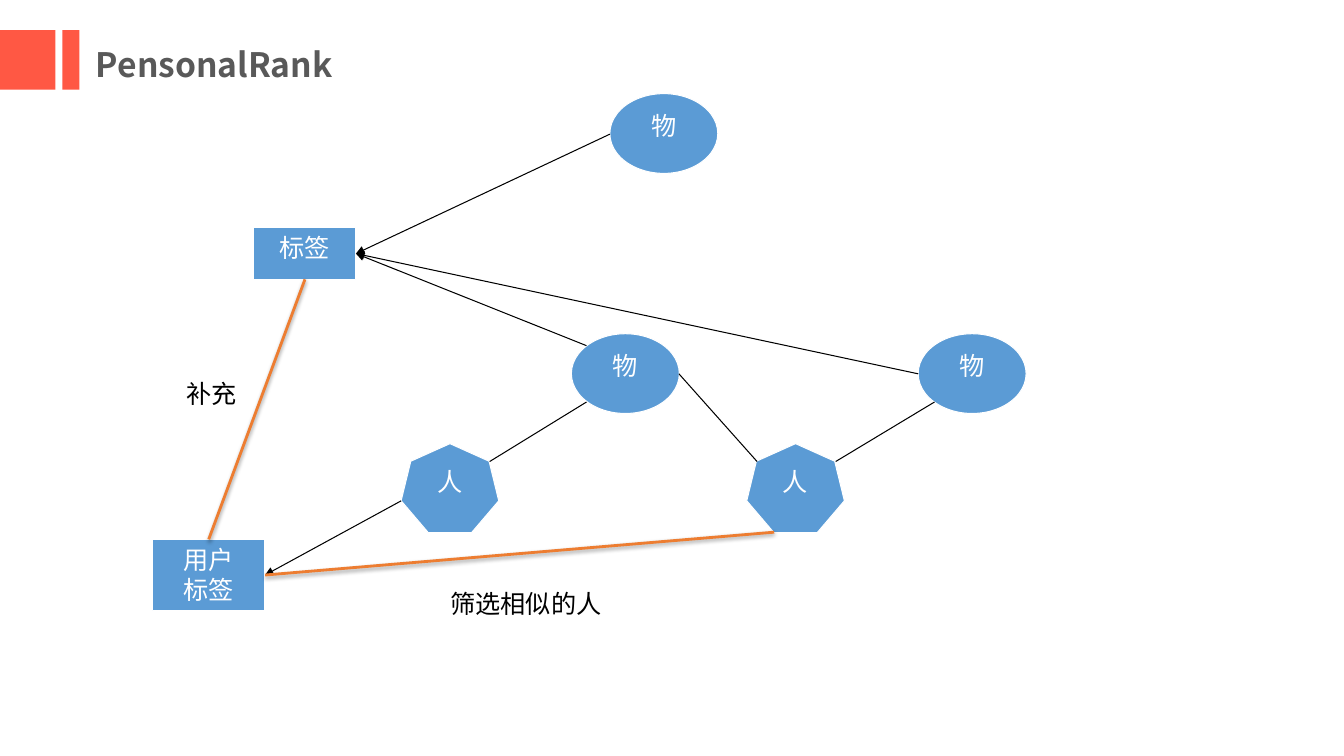
from dataclasses import dataclass

from lxml.etree import SubElement
from pptx import Presentation
from pptx.dml.color import RGBColor
from pptx.enum.shapes import MSO_CONNECTOR as Connector, MSO_SHAPE as Preset
from pptx.enum.text import MSO_ANCHOR as Anchor, PP_ALIGN as Align
from pptx.oxml.ns import qn
from pptx.shapes.autoshape import Shape
from pptx.slide import Slide
from pptx.util import Cm, Pt

COLORS = {
    "accent": "FF5844",
    "node": "5B9BD5",
    "outline": "FFFFFF",
    "node_text": "FFFFFF",
    "title": "595959",
    "ink": "000000",
    "highlight": "ED7D31",
}
LATIN_FONT = "Calibri"
CJK_FONT = "Noto Sans CJK SC"
TOP, BOTTOM, RIGHT = 0, 2, 3
BAR_TOP, BAR_HEIGHT = 0.76, 1.5


@dataclass(frozen=True)
class Node:
    preset: Preset
    left: float
    top: float
    width: float
    height: float
    lines: tuple[str, ...]


@dataclass(frozen=True)
class Joint:
    """The middle of one side of a named node."""
    node: str
    side: int


@dataclass(frozen=True)
class Edge:
    start: tuple[float, float] | Joint
    end: tuple[float, float] | Joint
    arrow: bool = False
    highlight: bool = False


@dataclass(frozen=True)
class Label:
    left: float
    top: float
    width: float
    height: float
    text: str
    color: str = "ink"
    size: int = 18
    font: str = LATIN_FONT
    bold: bool = False
    inset: float = 0.25


def person(left: float) -> Node:
    return Node(Preset.HEPTAGON, left, 11.18, 2.46, 2.24, ("人",))


def item(left: float, top: float) -> Node:
    return Node(Preset.OVAL, left, top, 2.72, 2.01, ("物",))


NODES = {
    "left person": person(10.11),
    "right person": person(18.82),
    "middle item": item(14.4, 8.41),
    "right item": item(23.14, 8.41),
    "top item": item(15.37, 2.36),
    "tag": Node(Preset.RECTANGLE, 6.4, 5.74, 2.57, 1.3, ("标签",)),
    "user tag": Node(Preset.RECTANGLE, 3.84, 13.59, 2.84, 1.8, ("用户", "标签")),
}
TAG_RIGHT = Joint("tag", RIGHT)
USER_RIGHT = Joint("user tag", RIGHT)
EDGES = [
    Edge((14.78, 10.13), (12.34, 11.63)),
    Edge((17.11, 9.42), (19.08, 11.63)),
    Edge((21.06, 11.63), (23.55, 10.13)),
    Edge((10.11, 12.62), USER_RIGHT, arrow=True),
    Edge((14.78, 8.71), TAG_RIGHT, arrow=True),
    Edge((23.14, 9.42), TAG_RIGHT, arrow=True),
    Edge((15.37, 3.38), TAG_RIGHT, arrow=True),
    Edge(Joint("user tag", TOP), Joint("tag", BOTTOM), highlight=True),
    Edge(USER_RIGHT, (19.51, 13.41), highlight=True),
]
LABELS = [
    Label(1.98, 0.97, 10.54, 1.3, "PensonalRank", "title", 24, CJK_FONT, True, 0.44),
    Label(4.45, 9.42, 3.99, 1.02, "补充"),
    Label(11.1, 14.71, 7.24, 1.02, "筛选相似的人"),
]


def color(name: str) -> RGBColor:
    return RGBColor.from_string(COLORS[name])


def add_span(para, text: str, size: int, ink: str, font: str = LATIN_FONT,
             bold: bool = False) -> None:
    span = para.add_run()
    span.text = text
    span.font.size = Pt(size)
    span.font.bold = bold
    span.font.name = font
    span.font.color.rgb = color(ink)
    SubElement(span.font._element, qn("a:ea"), typeface=CJK_FONT)


def add_bar(page: Slide, left: float, width: float) -> None:
    bar = page.shapes.add_shape(
        Preset.RECTANGLE, Cm(left), Cm(BAR_TOP), Cm(width), Cm(BAR_HEIGHT))
    bar.shadow.inherit = False
    bar.fill.solid()
    bar.fill.fore_color.rgb = color("accent")
    bar.line.fill.background()


def add_node(page: Slide, node: Node) -> Shape:
    shape = page.shapes.add_shape(
        node.preset, Cm(node.left), Cm(node.top), Cm(node.width), Cm(node.height))
    shape.shadow.inherit = False
    shape.fill.solid()
    shape.fill.fore_color.rgb = color("node")
    shape.line.color.rgb = color("outline")
    shape.line.width = Pt(0.75)
    frame = shape.text_frame
    frame.word_wrap = True
    frame.vertical_anchor = Anchor.TOP
    for index, line in enumerate(node.lines):
        para = frame.add_paragraph() if index else frame.paragraphs[0]
        para.alignment = Align.CENTER
        add_span(para, line, 18, "node_text")
    return shape


def add_label(page: Slide, label: Label) -> None:
    box = page.shapes.add_textbox(
        Cm(label.left), Cm(label.top), Cm(label.width), Cm(label.height))
    box.text_frame.word_wrap = True
    box.text_frame.margin_left = Cm(label.inset)
    add_span(box.text_frame.paragraphs[0], label.text, label.size, label.color,
             label.font, label.bold)


def add_edge(page: Slide, edge: Edge, shapes: dict[str, Shape]) -> None:
    ends = [(0, 0) if isinstance(end, Joint) else end for end in (edge.start, edge.end)]
    line = page.shapes.add_connector(
        Connector.STRAIGHT, *(Cm(value) for point in ends for value in point))
    for end, connect in ((edge.start, line.begin_connect), (edge.end, line.end_connect)):
        if isinstance(end, Joint):
            connect(shapes[end.node], end.side)
    line.line.color.rgb = color("highlight" if edge.highlight else "ink")
    line.line.width = Pt(2 if edge.highlight else 0.75)
    properties = line._element.spPr
    if edge.arrow:
        SubElement(properties.find(qn("a:ln")), qn("a:tailEnd"), type="triangle")
    effects = SubElement(properties, qn("a:effectLst"))
    if edge.highlight:
        shadow = SubElement(effects, qn("a:outerShdw"), blurRad=str(Pt(3.1)),
                            dist=str(Pt(1.6)), dir="5400000", rotWithShape="0")
        shade = SubElement(shadow, qn("a:srgbClr"), val=COLORS["ink"])
        SubElement(shade, qn("a:alpha"), val="38000")


def main() -> None:
    deck = Presentation()
    deck.slide_width, deck.slide_height = Cm(33.87), Cm(19.05)
    page = deck.slides.add_slide(deck.slide_layouts[6])
    add_bar(page, 0, 1.4)
    add_bar(page, 1.57, 0.43)
    shapes = {name: add_node(page, node) for name, node in NODES.items()}
    for edge in EDGES:
        add_edge(page, edge, shapes)
    for label in LABELS:
        add_label(page, label)
    deck.save("out.pptx")


if __name__ == "__main__":
    main()
